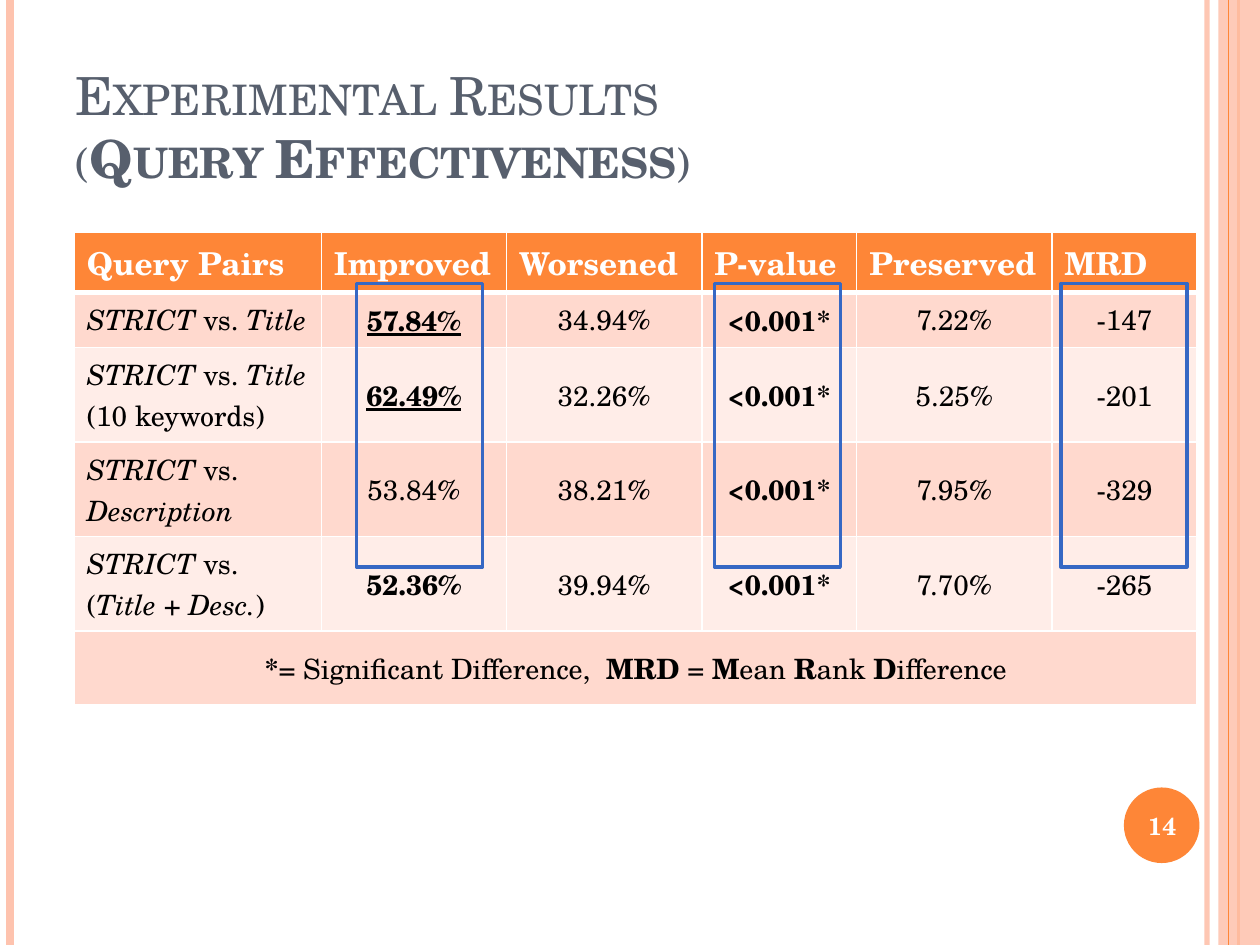
from lxml import etree
from pptx import Presentation
from pptx.dml.color import RGBColor
from pptx.enum.shapes import MSO_CONNECTOR as Connector, MSO_SHAPE as Shape
from pptx.enum.text import MSO_ANCHOR as Anchor, PP_ALIGN as Align
from pptx.oxml.ns import qn
from pptx.util import Inches, Pt

FONT = "TeX Gyre Schola"
ORANGE = RGBColor(0xFE, 0x86, 0x37)
PEACH = RGBColor(0xFE, 0xC3, 0xAE)
DARK_BAND = RGBColor(0xFF, 0xD9, 0xCE)
LIGHT_BAND = RGBColor(0xFF, 0xED, 0xE8)
SLATE = RGBColor(0x57, 0x5F, 0x6D)
BLUE = RGBColor(0x36, 0x68, 0xC4)
WHITE = RGBColor(0xFF, 0xFF, 0xFF)
BLACK = RGBColor(0, 0, 0)

TITLE = [[("Experimental Results", "")],
         [("(", ""), ("Query Effectiveness", "b"), (")", "")]]
PAGE_NUMBER = "14"
HEADERS = ["Query Pairs", "Improved", "Worsened", "P-value", "Preserved", "MRD"]
PAIRS = [
    [[("STRICT", "i"), (" vs. ", ""), ("Title", "i")]],
    [[("STRICT", "i"), (" vs. ", ""), ("Title", "i"), (" (10 keywords)", "")]],
    [[("STRICT ", "i"), ("vs.", "")], [("Description", "i")]],
    [[("STRICT ", "i"), ("vs.", "")],
     [("(", ""), ("Title", "i"), (" + ", ""), ("Desc.", "i"), (")", "")]],
]
RESULTS = [
    ["57.84%", "34.94%", "<0.001*", "7.22%", "-147"],
    ["62.49%", "32.26%", "<0.001*", "5.25%", "-201"],
    ["53.84%", "38.21%", "<0.001*", "7.95%", "-329"],
    ["52.36%", "39.94%", "<0.001*", "7.70%", "-265"],
]
STYLES = {"57.84%": "bu", "62.49%": "bu", "52.36%": "b", "<0.001*": "b"}
LEGEND = [[("*", "b"), ("= Significant Difference,  ", ""), ("MRD", "b"),
           (" = ", ""), ("M", "b"), ("ean ", ""), ("R", "b"), ("ank ", ""),
           ("D", "b"), ("ifference", "")]]
COLUMN_WIDTHS = [1.96, 1.47, 1.55, 1.23, 1.55, 1.15]
ROW_HEIGHTS = [0.48, 0.44, 0.75, 0.75, 0.75, 0.58]
HIGHLIGHT_LEFTS = [2.83, 5.67, 8.42]


def write(frame, paragraphs, size, color, align=Align.LEFT, small_caps=False):
    for index, spans in enumerate(paragraphs):
        para = frame.paragraphs[0] if index == 0 else frame.add_paragraph()
        para.alignment = align
        for text, style in spans:
            span = para.add_run()
            span.text = text
            font = span.font
            font.name, font.size, font.color.rgb = FONT, Pt(size), color
            font.bold, font.italic, font.underline = (key in style for key in "biu")
            if small_caps:
                span._r.get_or_add_rPr().set("cap", "small")


def set_alpha(element, percent):
    color = next(element.iter(qn("a:srgbClr")))
    etree.SubElement(color, qn("a:alpha")).set("val", str(percent * 1000))


def add_stripe(page, x, color, width, alpha=100):
    stripe = page.shapes.add_connector(
        Connector.STRAIGHT, Inches(x), 0, Inches(x), Inches(7.5))
    stripe.line.color.rgb = color
    stripe.line.width = Pt(width)
    properties = stripe._element.spPr
    if alpha < 100:
        set_alpha(properties, alpha)
    etree.SubElement(properties, qn("a:effectLst"))


def add_shape(page, kind, left, top, width, height, fill=None):
    shape = page.shapes.add_shape(
        kind, Inches(left), Inches(top), Inches(width), Inches(height))
    shape.shadow.inherit = False
    if fill is None:
        shape.fill.background()
    else:
        shape.fill.solid()
        shape.fill.fore_color.rgb = fill
        shape.line.fill.background()
    return shape


def add_text(page, left, top, width, height, anchor):
    box = page.shapes.add_textbox(
        Inches(left), Inches(top), Inches(width), Inches(height))
    frame = box.text_frame
    frame.word_wrap = True
    frame.vertical_anchor = anchor
    return frame


def style_cell(cell, fill, top=1, bottom=1):
    properties = cell._tc.get_or_add_tcPr()
    for side, width in (("L", 1), ("R", 1), ("T", top), ("B", bottom)):
        border = etree.SubElement(properties, qn(f"a:ln{side}"), w=str(Pt(width)))
        paint = etree.SubElement(border, qn("a:solidFill"))
        etree.SubElement(paint, qn("a:srgbClr"), val=str(WHITE))
    cell.fill.solid()
    cell.fill.fore_color.rgb = fill


def add_results(page):
    table = page.shapes.add_table(
        len(ROW_HEIGHTS), len(COLUMN_WIDTHS), Inches(0.59), Inches(1.84),
        Inches(sum(COLUMN_WIDTHS)), Inches(sum(ROW_HEIGHTS))).table
    for column, width in zip(table.columns, COLUMN_WIDTHS):
        column.width = Inches(width)
    for row, height in zip(table.rows, ROW_HEIGHTS):
        row.height = Inches(height)

    for index, header in enumerate(HEADERS):
        cell = table.cell(0, index)
        style_cell(cell, ORANGE, bottom=3)
        write(cell.text_frame, [[(header, "b")]], 18, WHITE)

    for number, (pair, values) in enumerate(zip(PAIRS, RESULTS), 1):
        fill = DARK_BAND if number % 2 else LIGHT_BAND
        contents = [pair] + [[[(value, STYLES.get(value, ""))]] for value in values]
        for index, content in enumerate(contents):
            cell = table.cell(number, index)
            style_cell(cell, fill, top=3 if number == 1 else 1)
            if index and number > 1:
                cell.vertical_anchor = Anchor.MIDDLE
            write(cell.text_frame, content, 16, BLACK,
                  Align.CENTER if index else Align.LEFT)

    last = len(ROW_HEIGHTS) - 1
    legend = table.cell(last, 0)
    legend.merge(table.cell(last, len(COLUMN_WIDTHS) - 1))
    style_cell(legend, DARK_BAND)
    legend.vertical_anchor = Anchor.MIDDLE
    write(legend.text_frame, LEGEND, 16, BLACK, Align.CENTER)


def main():
    deck = Presentation()
    deck.slide_width, deck.slide_height = Inches(10), Inches(7.5)
    page = deck.slides.add_slide(deck.slide_layouts[6])

    add_stripe(page, 9.58, PEACH, 3, 93)
    add_stripe(page, 0.08, PEACH, 4.5)
    add_stripe(page, 9.83, ORANGE, 1.5)
    band = add_shape(page, Shape.RECTANGLE, 9.67, 0, 0.33, 7.5, PEACH)
    set_alpha(band._element.spPr, 87)
    add_stripe(page, 9.75, ORANGE, 0.75)
    add_shape(page, Shape.OVAL, 8.92, 6.25, 0.6, 0.6, ORANGE)

    title = add_text(page, 0.5, 0.3, 8.17, 1.25, Anchor.BOTTOM)
    write(title, TITLE, 30, SLATE, small_caps=True)

    number = add_text(page, 8.89, 6.27, 0.67, 0.57, Anchor.MIDDLE)
    write(number, [[(PAGE_NUMBER, "b")]], 14, WHITE, Align.CENTER)

    add_results(page)
    for left in HIGHLIGHT_LEFTS:
        highlight = add_shape(page, Shape.RECTANGLE, left, 2.25, 1, 2.25)
        highlight.line.color.rgb = BLUE
        highlight.line.width = Pt(2)

    deck.save("out.pptx")


if __name__ == "__main__":
    main()
